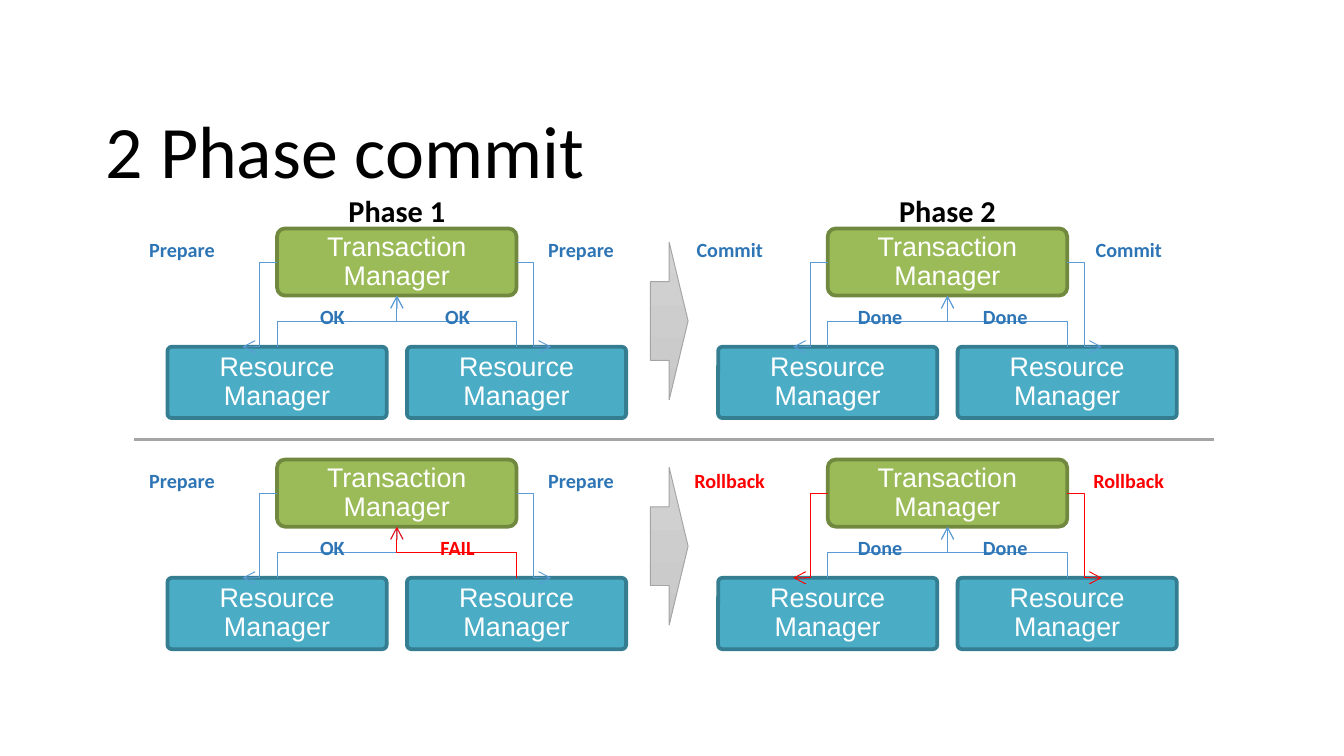
from lxml import etree
from pptx import Presentation
from pptx.dml.color import RGBColor
from pptx.enum.shapes import MSO_CONNECTOR, MSO_SHAPE
from pptx.enum.text import MSO_ANCHOR, PP_ALIGN
from pptx.oxml.ns import qn
from pptx.util import Pt

ELBOW, STRAIGHT = MSO_CONNECTOR.ELBOW, MSO_CONNECTOR.STRAIGHT
ROUNDED, RIGHT_ARROW = MSO_SHAPE.ROUNDED_RECTANGLE, MSO_SHAPE.RIGHT_ARROW
MIDDLE, TOP = MSO_ANCHOR.MIDDLE, MSO_ANCHOR.TOP
LEFT, CENTER = PP_ALIGN.LEFT, PP_ALIGN.CENTER

BLACK = RGBColor(0x00, 0x00, 0x00)
WHITE = RGBColor(0xFF, 0xFF, 0xFF)
RED = RGBColor(0xFF, 0x00, 0x00)
BLUE_TEXT = RGBColor(0x2E, 0x75, 0xB6)
BLUE_LINE = RGBColor(0x5B, 0x9B, 0xD5)
GREEN = RGBColor(0x9B, 0xBB, 0x59)
DARK_GREEN = RGBColor(0x71, 0x89, 0x3F)
TEAL = RGBColor(0x4B, 0xAC, 0xC6)
DARK_TEAL = RGBColor(0x35, 0x7D, 0x91)
GRAY = RGBColor(0xA5, 0xA5, 0xA5)
LIGHT_GRAYS = (RGBColor(0xD2, 0xD2, 0xD2), RGBColor(0xC8, 0xC8, 0xC8))

# Content: column, row, request label and its colours, then the two replies
TITLE = "2 Phase commit"
PHASES = ["Phase 1", "Phase 2"]
OK = ("OK", BLUE_TEXT, BLUE_LINE)
FAIL = ("FAIL", RED, RED)
DONE = ("Done", BLUE_TEXT, BLUE_LINE)
PREPARE = ("Prepare", BLUE_TEXT, BLUE_LINE)
PANELS = [
    (0, 0, PREPARE, [OK, OK]),
    (1, 0, ("Commit", BLUE_TEXT, BLUE_LINE), [DONE, DONE]),
    (0, 1, PREPARE, [OK, FAIL]),
    (1, 1, ("Rollback", RED, RED), [DONE, DONE]),
]

# Layout in points
COLUMN_STEP, LABEL_STEP, ROW_STEP = 295, 293.4, 123.8
CENTER_X, MANAGER_TOP = 212.6, 122.4
MANAGER_W, MANAGER_H = 128.3, 36
RESOURCE_TOP, RESOURCE_W, RESOURCE_H = 185.8, 117.4, 38.2
BRANCH = MANAGER_W / 2          # resource centres sit under the manager's edges
REACH = 18.5                    # sideways run of the request arrows
LABEL_W, LABEL_H = 51, 17.3
REQUEST_X, REQUEST_Y = (72, 285.8), 123.8
REPLY_X, REPLY_Y = (152.6, 219.6), 160

deck = Presentation()
deck.slide_width, deck.slide_height = Pt(720), Pt(405)
page = deck.slides.add_slide(deck.slide_layouts[6])


def format_text(frame, text, font, size, color, bold=False, align=CENTER, spacing=None):
    frame.text = text
    para = frame.paragraphs[0]
    para.alignment = align
    para.line_spacing = spacing
    span = para.runs[0].font
    span.name, span.size, span.bold = font, Pt(size), bold
    span.color.rgb = color


def set_margins(frame, side, end):
    frame.margin_left = frame.margin_right = Pt(side)
    frame.margin_top = frame.margin_bottom = Pt(end)


def add_label(x, y, w, h, text, size, color):
    frame = page.shapes.add_textbox(Pt(x), Pt(y), Pt(w), Pt(h)).text_frame
    frame.word_wrap = False
    frame.vertical_anchor = TOP
    set_margins(frame, 6.5, 3.2)
    format_text(frame, text, "Calibri", size, color, bold=True)


def add_box(x, y, w, h, text, fill, line, margin, corner):
    box = page.shapes.add_shape(ROUNDED, Pt(x), Pt(y), Pt(w), Pt(h))
    box.adjustments[0] = corner
    box.shadow.inherit = False
    box.fill.solid()
    box.fill.fore_color.rgb = fill
    box.line.color.rgb = line
    box.line.width = Pt(2)
    frame = box.text_frame
    frame.word_wrap = True
    frame.vertical_anchor = MIDDLE
    set_margins(frame, margin, 0)
    format_text(frame, text, "Arial", 14.4, WHITE, spacing=0.9)


def add_line(kind, x1, y1, x2, y2, color, width):
    line = page.shapes.add_connector(kind, Pt(x1), Pt(y1), Pt(x2), Pt(y2))
    line.line.color.rgb = color
    line.line.width = Pt(width)
    etree.SubElement(line._element.spPr, qn("a:effectLst"))
    return line


def add_elbow_arrow(x1, y1, x2, y2, color, vertical=False):
    if vertical:
        # Lay the elbow on its side about its centre, then turn it 270 degrees
        mid_x, mid_y = (x1 + x2) / 2, (y1 + y2) / 2
        x1, y1, x2, y2 = (mid_x - (y1 - mid_y), mid_y + (x1 - mid_x),
                          mid_x - (y2 - mid_y), mid_y + (x2 - mid_x))
    arrow = add_line(ELBOW, x1, y1, x2, y2, color, 0.5)
    if vertical:
        arrow._element.spPr.find(qn("a:xfrm")).set("rot", str(270 * 60000))
    etree.SubElement(arrow.line._get_or_add_ln(), qn("a:tailEnd"), type="arrow")


# Title and phase headings
title = page.shapes.add_textbox(Pt(49.7), Pt(61), Pt(620.6), Pt(44)).text_frame
title.word_wrap = True
title.vertical_anchor = MIDDLE
set_margins(title, 7.2, 0)
format_text(title, TITLE, "Calibri", 39.6, BLACK, align=LEFT, spacing=0.9)
for column, phase in enumerate(PHASES):
    add_label(CENTER_X + column * COLUMN_STEP - 33, 100, 66, 22.3, phase, 16.2, BLACK)

# Panels: one manager above two resources
for column, row, (request, request_color, request_line), replies in PANELS:
    center = CENTER_X + column * COLUMN_STEP
    label_shift, down = column * LABEL_STEP, row * ROW_STEP
    manager_top, resource_top = MANAGER_TOP + down, RESOURCE_TOP + down
    add_box(center - MANAGER_W / 2, manager_top, MANAGER_W, MANAGER_H,
            "Transaction Manager", GREEN, DARK_GREEN, 8.6, 0.12)
    for side in (-1, 1):
        add_box(center + side * BRANCH - RESOURCE_W / 2, resource_top,
                RESOURCE_W, RESOURCE_H, "Resource Manager",
                TEAL, DARK_TEAL, 12.2, 0.06)

    for side, request_x, reply_x, (reply, reply_color, reply_line) in zip(
            (-1, 1), REQUEST_X, REPLY_X, replies):
        edge = center + side * BRANCH
        add_elbow_arrow(edge, manager_top + MANAGER_H / 2,
                        edge + side * REACH, resource_top, request_line)
        add_elbow_arrow(edge, resource_top, center, manager_top + MANAGER_H,
                        reply_line, vertical=True)
        add_label(request_x + label_shift, REQUEST_Y + down, LABEL_W, LABEL_H,
                  request, 10.8, request_color)
        add_label(reply_x + label_shift, REPLY_Y + down, LABEL_W, LABEL_H,
                  reply, 10.8, reply_color)

# Block arrows from phase 1 to phase 2
for top in (129.8, 250.4):
    step = page.shapes.add_shape(RIGHT_ARROW, Pt(348.4), Pt(top), Pt(20.2), Pt(84.4))
    step.shadow.inherit = False
    step.fill.gradient()
    step.fill.gradient_angle = 270
    for stop, color in zip(step.fill.gradient_stops, LIGHT_GRAYS):
        stop.color.rgb = color
    step.line.color.rgb = GRAY
    step.line.width = Pt(0.5)

# Divider between success and failure
add_line(STRAIGHT, 72, 235.4, 650.2, 235.4, GRAY, 1.75)

deck.save("out.pptx")
